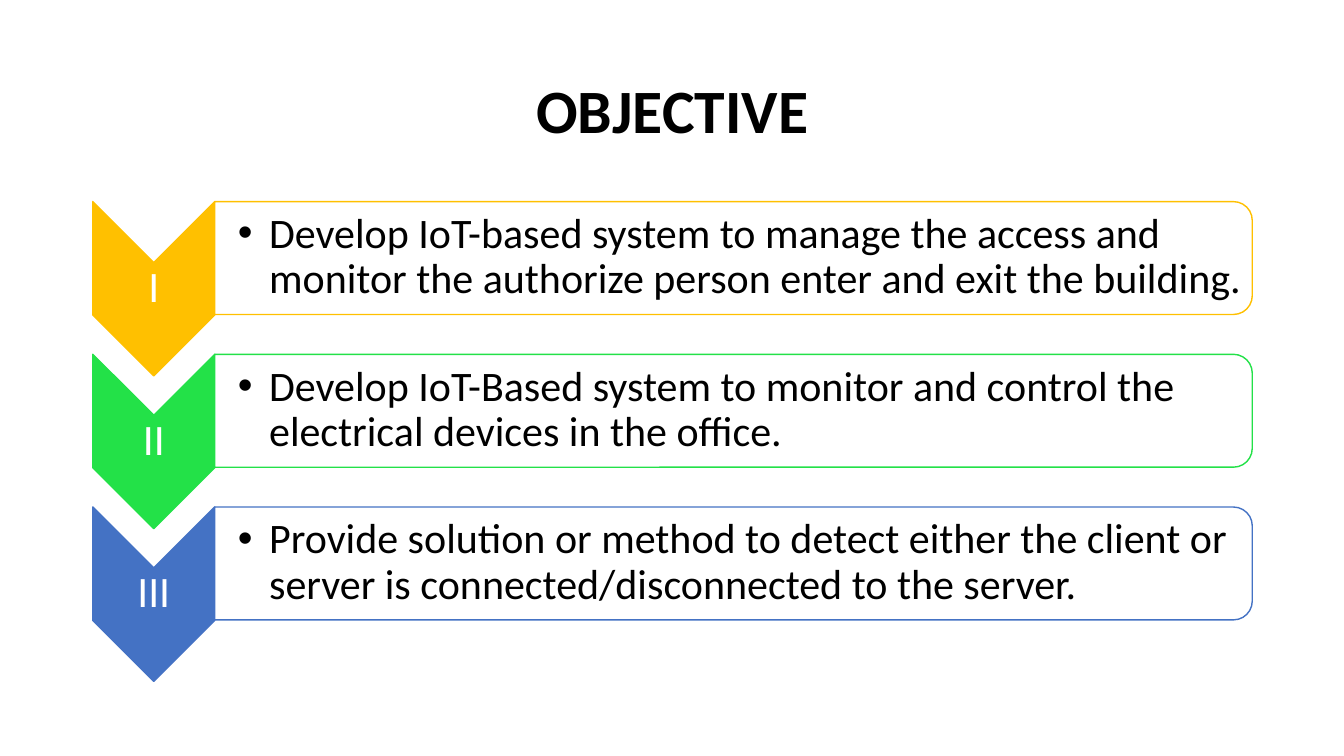
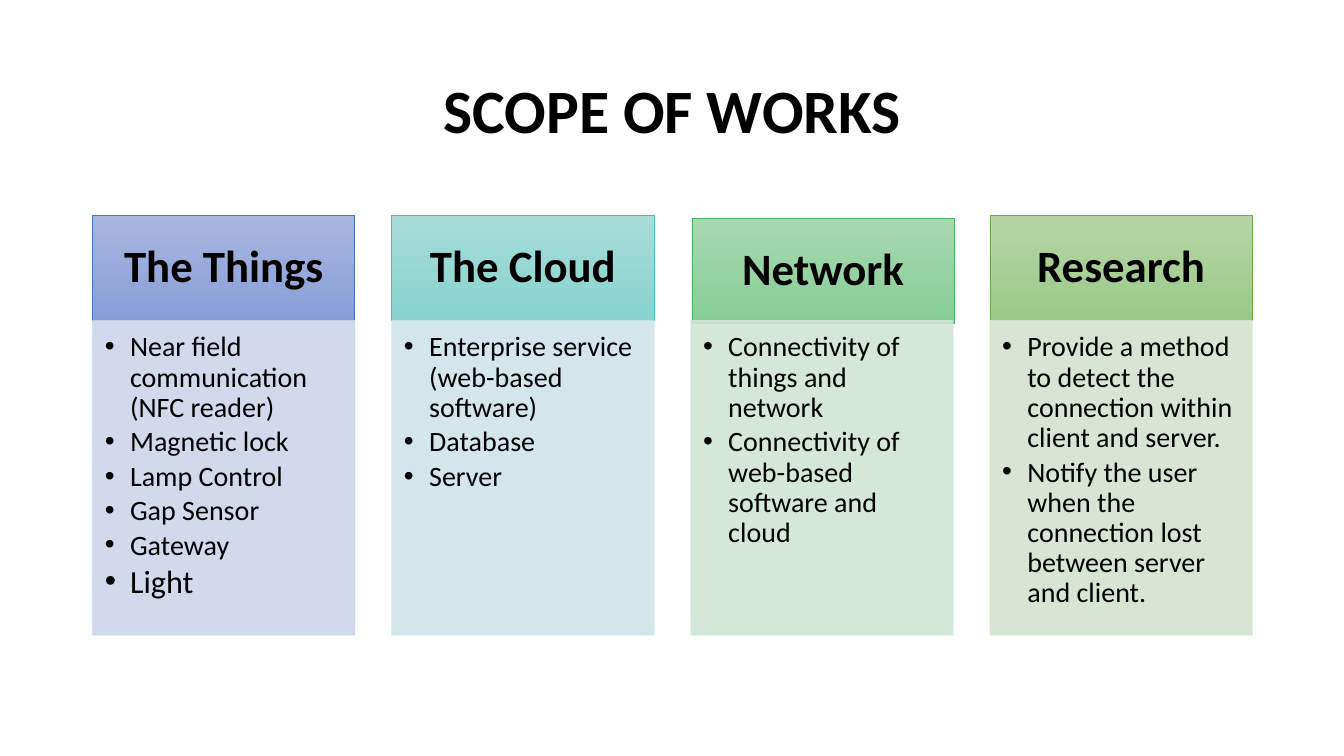
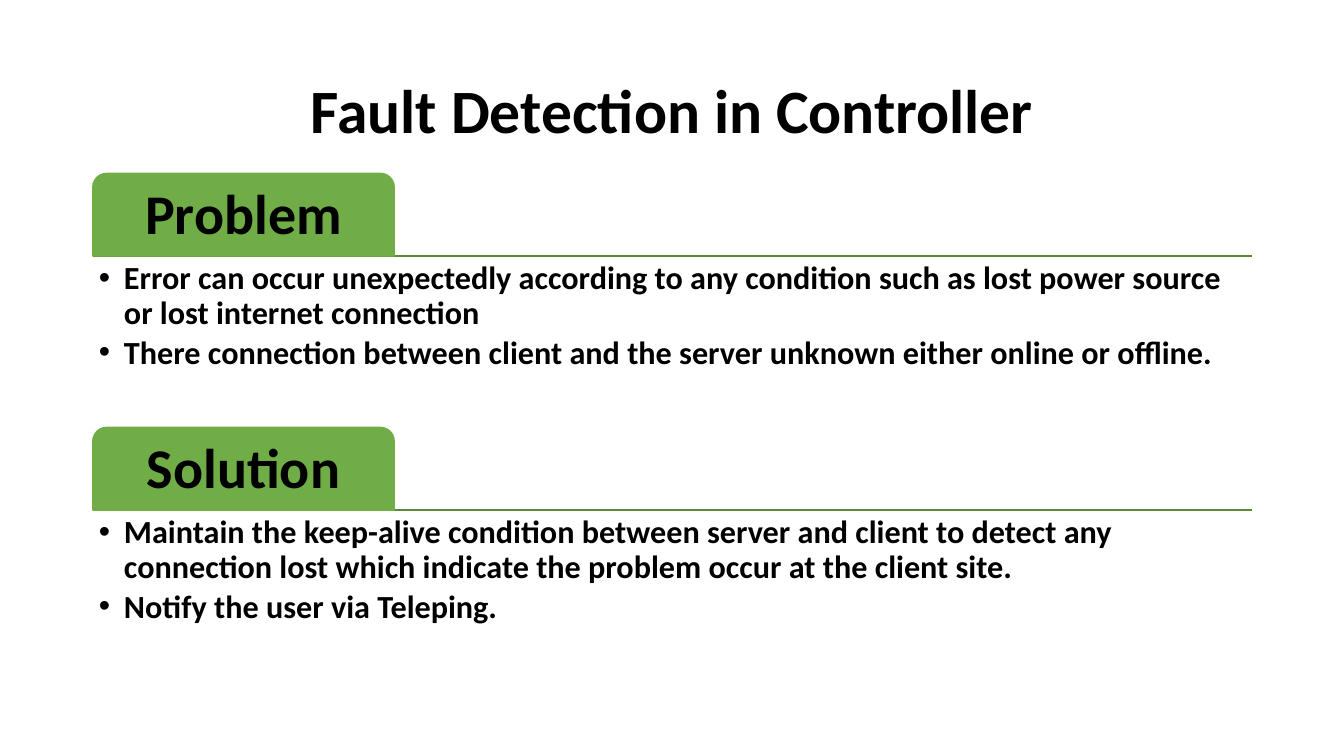
"""Build three slides on the aims, scope and fault checks of an IoT system."""
from dataclasses import dataclass

from lxml.etree import SubElement
from pptx import Presentation
from pptx.dml.color import RGBColor
from pptx.enum.shapes import MSO_CONNECTOR, MSO_SHAPE
from pptx.enum.text import MSO_ANCHOR, MSO_AUTO_SIZE, PP_ALIGN
from pptx.oxml.ns import qn
from pptx.util import Inches, Pt

CHEVRON = MSO_SHAPE.CHEVRON
RECT = MSO_SHAPE.RECTANGLE
TAB = MSO_SHAPE.ROUND_2_SAME_RECTANGLE
STRAIGHT = MSO_CONNECTOR.STRAIGHT
TOP, MIDDLE = MSO_ANCHOR.TOP, MSO_ANCHOR.MIDDLE
LEFT, CENTER = PP_ALIGN.LEFT, PP_ALIGN.CENTER
FIXED = MSO_AUTO_SIZE.NONE

FONT = "Calibri"
BLACK, WHITE = "000000", "FFFFFF"
GREEN, MOSS = "70AD47", "5A8B39"
EDGE, SPAN = 0.92, 11.5


@dataclass(frozen=True)
class Look:
    """Style of a block of text; indent above zero adds bullets."""
    size: float
    pads: tuple[float, float, float, float]
    color: str = BLACK
    bold: bool = False
    indent: float = 0
    anchor: MSO_ANCHOR = MIDDLE


@dataclass(frozen=True)
class Goal:
    """One numbered aim."""
    mark: str
    color: str
    text: str


@dataclass(frozen=True)
class Column:
    """One column of the scope; shift moves its head."""
    head: str
    light: str
    deep: str
    line: str
    body: str
    items: tuple[str, ...]
    shift: tuple[float, float] = (0, 0)


@dataclass(frozen=True)
class Part:
    """One tabbed section."""
    head: str
    items: tuple[str, ...]


TITLE = Look(44, (0.1, 0.05, 0.1, 0.05), bold=True)
MARK = Look(31, (0.02,) * 4, WHITE)
GOAL = Look(30, (0.23, 0.02, 0.02, 0.02), indent=0.31)
HEAD = Look(32, (0.25, 0.14, 0.25, 0.14), bold=True)
LIST = Look(20, (0.12, 0.12, 0.16, 0.17), indent=0.25, anchor=TOP)
LABEL = Look(40, (0.08,) * 4, bold=True)
NOTE = Look(23, (0.06,) * 4, bold=True, indent=0.25, anchor=TOP)

GOALS = (
    Goal("I", "FFC000", "Develop IoT-based system to manage the access and monitor "
         "the authorize person enter and exit the building."),
    Goal("II", "23E148", "Develop IoT-Based system to monitor and control the "
         "electrical devices in the office."),
    Goal("III", "4472C4", "Provide solution or method to detect either the client or "
         "server is connected/disconnected to the server."),
)
COLUMNS = (
    Column("The Things", "A8B7DF", "889ED7", "4472C4", "CFD5EA",
           ("Near field communication (NFC reader)", "Magnetic lock",
            "Lamp Control", "Gap Sensor", "Gateway", "Light")),
    Column("The Cloud", "A8DCD9", "87D3CF", "43BEB9", "CFE5E8",
           ("Enterprise service (web-based software)", "Database", "Server")),
    Column("Network", "A7D8B1", "87CE96", "45B664", "CFE5D8",
           ("Connectivity of things and network",
            "Connectivity of web-based software and cloud"), (0.01, 0.03)),
    Column("Research", "B5D5A7", "9CC987", GREEN, "D5E3CF",
           ("Provide a method to detect the connection within client and server.",
            "Notify the user when the connection lost between server and client.")),
)
PARTS = (
    Part("Problem",
         ("Error can occur unexpectedly according to any condition such as lost "
          "power source or lost internet connection",
          "There connection between client and the server unknown either online "
          "or offline.")),
    Part("Solution",
         ("Maintain the keep-alive condition between server and client to detect any "
          "connection lost which indicate the problem occur at the client site.",
          "Notify the user via Teleping.")),
)


def tint(color, code: str) -> None:
    """Set a colour from a hex string."""
    color.rgb = RGBColor.from_string(code)


def write(frame, lines: tuple[str, ...], look: Look) -> None:
    """Fill a text frame, one paragraph a line."""
    frame.word_wrap = True
    frame.auto_size = FIXED
    frame.vertical_anchor = look.anchor
    (frame.margin_left, frame.margin_top,
     frame.margin_right, frame.margin_bottom) = map(Inches, look.pads)
    frame.text = "\n".join(lines)
    for para in frame.paragraphs:
        para.alignment = LEFT if look.indent else CENTER
        para.line_spacing = 0.9
        if look.indent:
            para.space_after = Pt(round(look.size * 0.15, 1))
            props = para._p.get_or_add_pPr()
            props.set("marL", str(Inches(look.indent)))
            props.set("indent", str(-Inches(look.indent)))
            SubElement(props, qn("a:buFont"), typeface="Arial")
            SubElement(props, qn("a:buChar"), char="•")
        for run in para.runs:
            run.font.name = FONT
            run.font.size = Pt(look.size)
            run.font.bold = look.bold
            tint(run.font.color, look.color)


def add_text(slide, x: float, y: float, w: float, h: float,
             lines: tuple[str, ...], look: Look):
    """Add a text box."""
    box = slide.shapes.add_textbox(Inches(x), Inches(y), Inches(w), Inches(h))
    write(box.text_frame, lines, look)
    return box


def add_form(slide, kind: MSO_SHAPE, x: float, y: float, w: float, h: float,
             fill: str, line: str, weight: float = 1):
    """Add a flat shape with a plain fill and line."""
    form = slide.shapes.add_shape(kind, Inches(x), Inches(y), Inches(w), Inches(h))
    form.shadow.inherit = False
    form.fill.solid()
    tint(form.fill.fore_color, fill)
    tint(form.line.color, line)
    form.line.width = Pt(weight)
    return form


def add_turned(slide, kind: MSO_SHAPE, x: float, y: float, w: float, h: float,
               fill: str, line: str):
    """Add a shape turned a quarter, placed by the area it covers."""
    form = add_form(slide, kind, x + (w - h) / 2, y + (h - w) / 2, h, w, fill, line)
    form.rotation = 90
    return form


def add_rule(slide, y: float) -> None:
    """Add a thin line across the slide."""
    rule = slide.shapes.add_connector(STRAIGHT, Inches(EDGE), Inches(y),
                                      Inches(EDGE + SPAN), Inches(y))
    tint(rule.line.color, MOSS)
    rule.line.width = Pt(1)
    SubElement(rule._element.spPr, qn("a:effectLst"))


def shade(form, light: str, deep: str) -> None:
    """Fill a shape with a gradient from top to bottom."""
    form.fill.gradient()
    form.fill.gradient_angle = 270
    for stop, code in zip(form.fill.gradient_stops, (light, deep)):
        tint(stop.color, code)


def fade(form) -> None:
    """Make the fill and line of a shape slightly clear."""
    for color in form._element.spPr.iter(qn("a:srgbClr")):
        SubElement(color, qn("a:alpha"), val="90000")


def add_slide(deck, title: str):
    """Add a slide with a styled title."""
    slide = deck.slides.add_slide(deck.slide_layouts[5])
    head = slide.shapes.title
    head.left, head.top = Inches(EDGE), Inches(0.4)
    head.width, head.height = Inches(SPAN), Inches(1.45)
    write(head.text_frame, (title,), TITLE)
    return slide


def draw_goals(deck) -> None:
    """Draw the aims as chevrons beside bars."""
    slide = add_slide(deck, "OBJECTIVE")
    wide, step = 1.21, 3.03 / 2
    start = EDGE + wide
    for i, goal in enumerate(GOALS):
        y = 2 + i * step
        add_turned(slide, CHEVRON, EDGE, y, wide, 1.73, goal.color, goal.color)
        add_text(slide, EDGE, y + 0.6, wide, 0.52, (goal.mark,), MARK)
        add_turned(slide, TAB, start, y, SPAN - wide, 1.12, WHITE, goal.color)
        add_text(slide, start, y + 0.05, 10.24, 1.01, (goal.text,), GOAL)


def draw_scope(deck) -> None:
    """Draw the scope as columns with heads."""
    slide = add_slide(deck, "SCOPE OF WORKS")
    wide, top, high = 2.6, 2.14, 1.04
    step = (SPAN - wide) / (len(COLUMNS) - 1)
    for i, col in enumerate(COLUMNS):
        x = EDGE + i * step
        right, down = col.shift
        head = add_form(slide, RECT, x + right, top + down, wide, high,
                        col.light, col.line, 0.5)
        shade(head, col.light, col.deep)
        write(head.text_frame, (col.head,), HEAD)
        body = add_form(slide, RECT, x, top + high, wide, 3.12, col.body, col.body, 0.5)
        fade(body)
        write(body.text_frame, col.items, LIST)
        if "Light" in col.items:
            body.text_frame.paragraphs[-1].runs[0].font.size = Pt(23)


def draw_fault(deck) -> None:
    """Draw the problem and its solution under tabs."""
    slide = add_slide(deck, "Fault Detection in Controller")
    high = 0.82
    for i, part in enumerate(PARTS):
        y = 1.72 + i * 2.52
        add_rule(slide, y + high)
        tab = add_form(slide, TAB, EDGE, y, 2.99, high, GREEN, GREEN)
        write(tab.text_frame, (part.head,), LABEL)
        add_text(slide, EDGE, y + high, SPAN, 1.65, part.items, NOTE)


def main() -> None:
    """Build and save the deck."""
    deck = Presentation()
    deck.slide_width, deck.slide_height = Inches(13.33), Inches(7.5)
    draw_goals(deck)
    draw_scope(deck)
    draw_fault(deck)
    deck.save("out.pptx")


if __name__ == "__main__":
    main()
